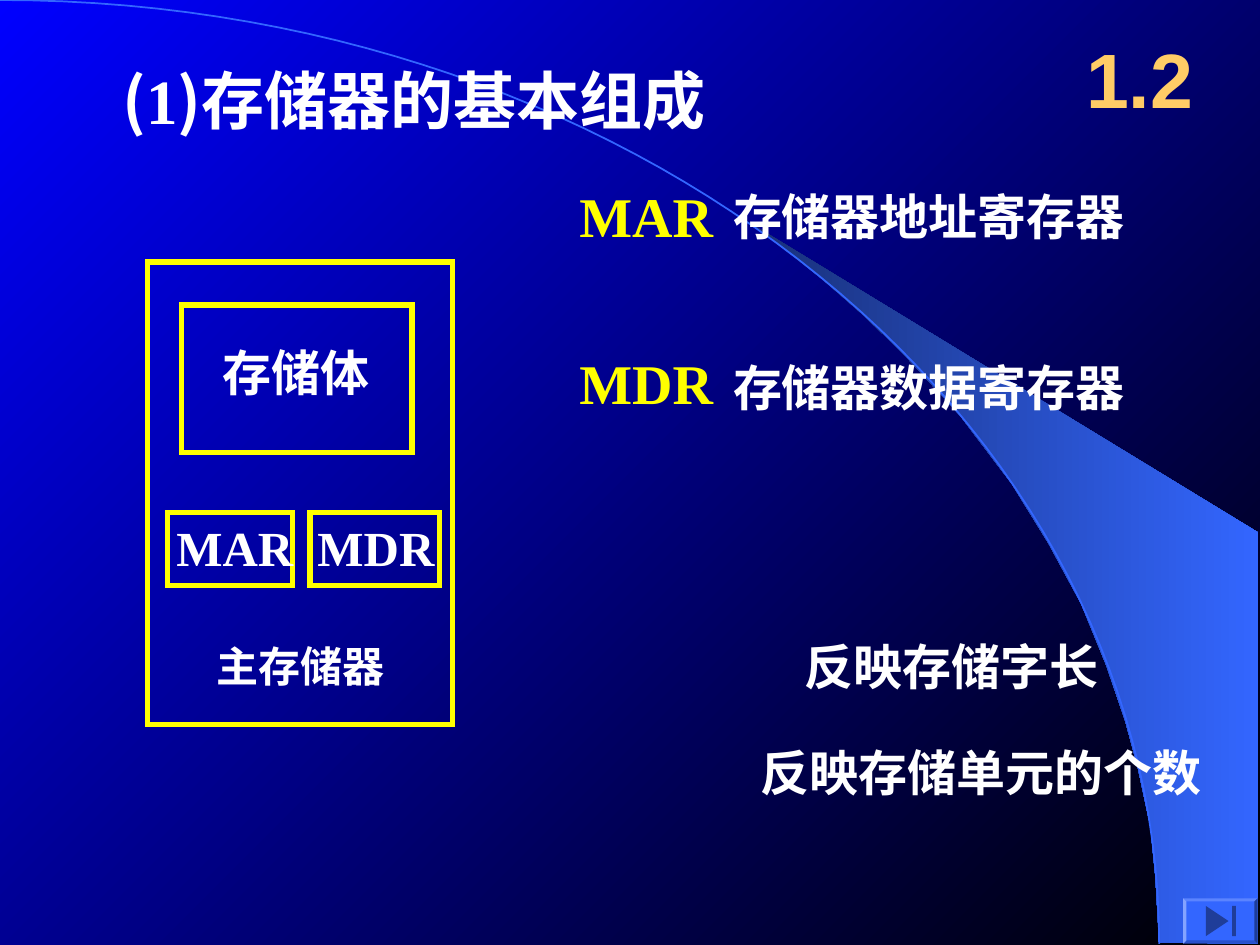
from lxml import etree
from pptx import Presentation
from pptx import util as u
from pptx.dml.color import RGBColor
from pptx.enum import shapes, text
from pptx.oxml.ns import qn

PX = 9144
CJK, SERIF, SANS = "Noto Sans CJK SC", "Times New Roman", "Arial"
WHITE, YELLOW, ORANGE, BLUE, NAVY = "FFFFFF", "FFFF00", "FFCC66", "3366FF", "1F3D99"
SWOOSH = [(920, 748), (999, 749), (999, 423), (589, 173), (624, 199), (653, 222),
          (685, 250), (716, 280), (762, 330), (803, 384), (832, 431), (858, 479),
          (878, 528), (893, 572), (903, 609), (913, 656), (917, 696)]
ARC = [(0, 0), (508, 0), (920, 335), (920, 749)]


def color(value):
    """Return the colour for a hex string."""
    return RGBColor.from_string(value)


def emu(*lengths):
    """Turn px lengths into EMU."""
    return [u.Emu(round(n * PX)) for n in lengths]


def set_gradient(fill, first, last, angle):
    """Apply a two-stop linear gradient."""
    fill.gradient()
    fill.gradient_angle = angle
    for stop, value, position in zip(fill.gradient_stops, (first, last), (0, 1)):
        stop.color.rgb = color(value)
        stop.position = position


def style(sp, fill=None, line=None, width=1):
    """Set a shape's fill and outline and drop its shadow."""
    sp.shadow.inherit = False
    if fill:
        sp.fill.solid()
        sp.fill.fore_color.rgb = color(fill)
    else:
        sp.fill.background()
    if line:
        sp.line.color.rgb = color(line)
        sp.line.width = u.Pt(width)
        etree.SubElement(sp.line._get_or_add_ln(), qn("a:miter"), lim="800000")
    else:
        sp.line.fill.background()
    return sp


def outline(s, points, close=True):
    """Build a freeform through the given points."""
    corners = [emu(*point) for point in points]
    builder = s.shapes.build_freeform(*corners[0])
    builder.add_line_segments(corners[1:], close=close)
    return builder.convert_to_shape()


def write(sp, runs, size, hue, wrap=False, inset=(10, 5), centred=False):
    """Fill a text frame with bold runs given as (wording, font)."""
    tf = sp.text_frame
    dx, dy = emu(*inset)
    frame = {"margin_left": dx, "margin_right": dx, "margin_top": dy, "margin_bottom": dy,
             "word_wrap": wrap,
             "auto_size": text.MSO_AUTO_SIZE.NONE if wrap else text.MSO_AUTO_SIZE.SHAPE_TO_FIT_TEXT,
             "vertical_anchor": text.MSO_ANCHOR.MIDDLE if centred else text.MSO_ANCHOR.TOP}
    for name, value in frame.items():
        setattr(tf, name, value)
    p = tf.paragraphs[0]
    p.alignment = text.PP_ALIGN.CENTER if centred else text.PP_ALIGN.LEFT
    p.space_before = u.Pt(0)
    for wording, font in runs:
        r = p.add_run()
        r.text = wording
        for name, value in {"size": u.Pt(size), "bold": True, "name": font}.items():
            setattr(r.font, name, value)
        r.font.color.rgb = color(hue)
        etree.SubElement(r._r.get_or_add_rPr(), qn("a:ea"), typeface=font)


def label(s, box, wording, font=CJK, size=28, hue=WHITE, **frame):
    """Add a text box with one run."""
    write(s.shapes.add_textbox(*emu(*box)), [(wording, font)], size, hue, **frame)


def backdrop(s):
    """Draw the gradient background, the swoosh and the arc."""
    set_gradient(s.background.fill, "0000FF", "000000", 315)
    swoosh = style(outline(s, SWOOSH))
    set_gradient(swoosh.fill, "182F76", BLUE, 0)
    steps = 60
    curve = []
    for t in (i / steps for i in range(steps + 1)):
        weights = ((1 - t) ** 3, 3 * t * (1 - t) ** 2, 3 * t * t * (1 - t), t ** 3)
        curve.append(tuple(sum(w * pt[axis] for w, pt in zip(weights, ARC))
                           for axis in (0, 1)))
    style(outline(s, curve, close=False), line=BLUE)


def heading(s, box):
    """Place the title above the backdrop."""
    title = s.shapes.title
    s.shapes._spTree.append(title._element)
    title.left, title.top, title.width, title.height = emu(*box)
    write(title, [("(", CJK), ("1", SERIF), (")存储器的基本组成", CJK)], 36, WHITE, wrap=True)


def register_row(s, x, y, name, meaning, drop):
    """Write a register's short name and its meaning."""
    label(s, (x, y, 152, 64), name, SERIF, 32, YELLOW, wrap=True)
    label(s, (x + 122, y + drop, 336, 57), meaning)


def memory_diagram(s, x, y):
    """Draw the main memory with its body and two registers."""
    for dx, dy, w, h in ((0, 0, 242, 367), (27, 34, 183, 117),
                         (16, 199, 99, 58), (129, 199, 103, 58)):
        style(s.shapes.add_shape(shapes.MSO_SHAPE.RECTANGLE, *emu(x + dx, y + dy, w, h)),
              line=YELLOW, width=3)
    label(s, (x + 50, y + 59, 142, 57), "存储体")
    for dx, name in ((23, "MAR"), (135, "MDR")):
        label(s, (x + dx, y + 198, 93, 57), name, SERIF, inset=(0, 5))
    label(s, (x + 55, y + 300, 139, 40), "主存储器", size=24, inset=(0, 0))


def end_button(s, x, y):
    """Draw the bevelled button with its end symbol."""
    button = style(s.shapes.add_shape(shapes.MSO_SHAPE.BEVEL, *emu(x, y, 59, 36)), BLUE)
    button.adjustments[0] = 0.07
    style(outline(s, [(x + 18, y + 6), (x + 36, y + 18), (x + 18, y + 30)]), NAVY)
    style(s.shapes.add_shape(shapes.MSO_SHAPE.RECTANGLE, *emu(x + 39, y + 6, 3, 24)), NAVY)


def main():
    """Build and save the slide."""
    prs = Presentation()
    prs.slide_width, prs.slide_height = emu(1000, 750)
    s = prs.slides.add_slide(prs.slide_layouts[5])
    backdrop(s)
    heading(s, (87, 44, 641, 70))
    label(s, (842, 16, 125, 92), "1.2", SANS, 44, ORANGE, wrap=True, centred=True)
    register_row(s, 450, 139, "MAR", "存储器地址寄存器", 4)
    register_row(s, 450, 272, "MDR", "存储器数据寄存器", 7)
    memory_diagram(s, 117, 208)
    label(s, (629, 500, 259, 57), "反映存储字长")
    label(s, (594, 584, 375, 57), "反映存储单元的个数")
    end_button(s, 939, 713)
    prs.save("out.pptx")


if __name__ == "__main__":
    main()
